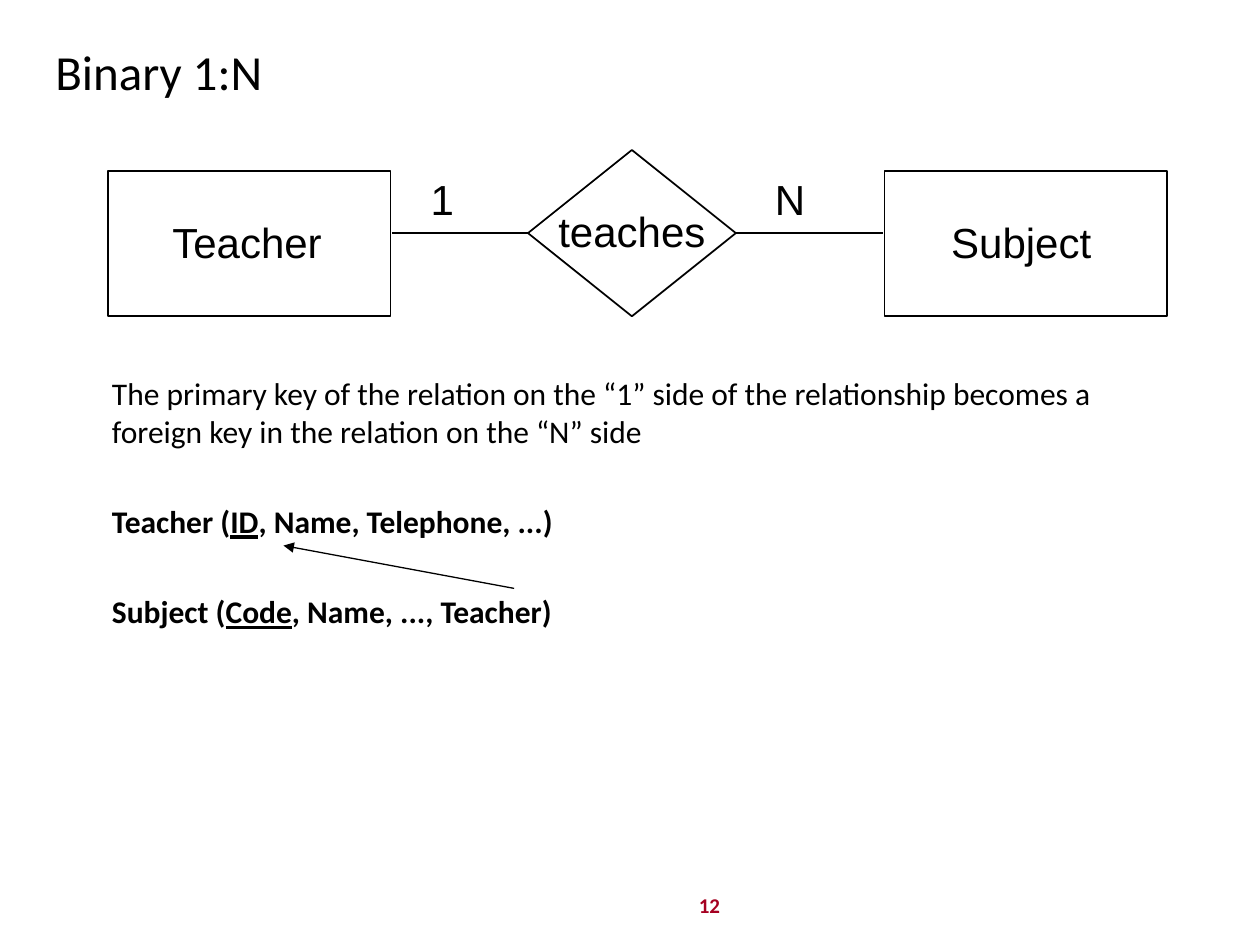
import pptx
import pptx.util
import pptx.dml.color
import pptx.enum.shapes
import pptx.enum.text
import pptx.oxml.ns
import lxml.etree
from dataclasses import dataclass

Inches = pptx.util.Inches
Pt = pptx.util.Pt
Shape = pptx.enum.shapes.MSO_SHAPE
Align = pptx.enum.text.PP_ALIGN
Anchor = pptx.enum.text.MSO_ANCHOR
qn = pptx.oxml.ns.qn


@dataclass(frozen=True)
class Theme:
    ink: str = "000000"
    red: str = "A50021"
    sans: str = "Calibri"
    label: str = "Arial"
    title: int = 28
    name: int = 24
    body: int = 18
    foot: int = 12


class Page:
    """Draws styled elements on one slide."""

    def __init__(self, deck, theme):
        self.theme = theme
        self.slide = deck.slides.add_slide(deck.slide_layouts[6])

    def style(self, run, size, font=None, color=None, bold=False):
        run.font.size = Pt(size)
        run.font.name = font or self.theme.sans
        run.font.bold = bold
        run.font.color.rgb = pptx.dml.color.RGBColor.from_string(color or self.theme.ink)

    def frame(self, box, wrap=True):
        frame = self.slide.shapes.add_textbox(*map(Inches, box)).text_frame
        frame.word_wrap = wrap
        return frame

    def text(self, text, box, size, align=Align.LEFT, wrap=True, **look):
        frame = self.frame(box, wrap)
        frame.vertical_anchor = Anchor.MIDDLE
        frame.text = text
        para = frame.paragraphs[0]
        para.alignment = align
        self.style(para.runs[0], size, **look)

    def label(self, text, left, top, width):
        self.text(text, (left, top, width, 0.5), self.theme.name,
                  Align.CENTER, False, font=self.theme.label)

    def body(self, intro, tables, box):
        frame = self.frame(box)
        frame.text = intro
        self.style(frame.paragraphs[0].runs[0], self.theme.body)
        for name, key, rest in tables:
            para = frame.add_paragraph()
            para.space_before = Pt(30)
            for part in (f"{name} (", key, f", {rest})"):
                run = para.add_run()
                run.text = part
                self.style(run, self.theme.body, bold=True)
                run.font.underline = part == key

    def stroke(self, item, width):
        item.line.color.rgb = pptx.dml.color.RGBColor.from_string(self.theme.ink)
        item.line.width = Pt(width)

    def shape(self, kind, box):
        shape = self.slide.shapes.add_shape(kind, *map(Inches, box))
        shape.shadow.inherit = False
        shape.fill.background()
        self.stroke(shape, 1)
        return shape

    def line(self, start, end, width=1, arrow=False):
        line = self.slide.shapes.add_connector(
            pptx.enum.shapes.MSO_CONNECTOR.STRAIGHT, *map(Inches, start + end))
        self.stroke(line, width)
        if arrow:
            lxml.etree.SubElement(line.line._get_or_add_ln(), qn("a:tailEnd"), type="triangle")
        lxml.etree.SubElement(line._element.spPr, qn("a:effectLst"))
        return line


def main():
    deck = pptx.Presentation()
    deck.slide_width, deck.slide_height = Inches(10), Inches(7.5)
    theme = Theme()
    page = Page(deck, theme)

    page.text("Binary 1:N", (0.34, 0.26, 9.38, 0.6), theme.title)
    page.body(
        "The primary key of the relation on the “1” side of the relationship "
        "becomes a foreign key in the relation on the “N” side",
        [("Teacher", "ID", "Name, Telephone, ..."),
         ("Subject", "Code", "Name, ..., Teacher")],
        (0.79, 2.92, 8.71, 3.58))

    for left in (0.86, 7.02):
        page.shape(Shape.RECTANGLE, (left, 1.36, 2.24, 1.15))
    link = page.shape(Shape.DIAMOND, (4.19, 1.19, 1.65, 1.32))
    page.line((3.11, 1.85), (4.19, 1.85)).end_connect(link, 1)
    page.line((5.84, 1.85), (7.01, 1.85)).begin_connect(link, 3)

    page.label("Teacher", 1.25, 1.67, 1.42)
    page.label("teaches", 4.33, 1.58, 1.37)
    page.label("Subject", 7.45, 1.67, 1.31)
    page.label("1", 3.32, 1.33, 0.38)
    page.label("N", 6.05, 1.33, 0.44)
    page.line((4.08, 4.67), (2.25, 4.33), 0.75, arrow=True)

    page.text("12", (5.42, 7.03, 0.42, 0.31), theme.foot, Align.CENTER,
              color=theme.red, bold=True)
    deck.save("out.pptx")


if __name__ == "__main__":
    main()
